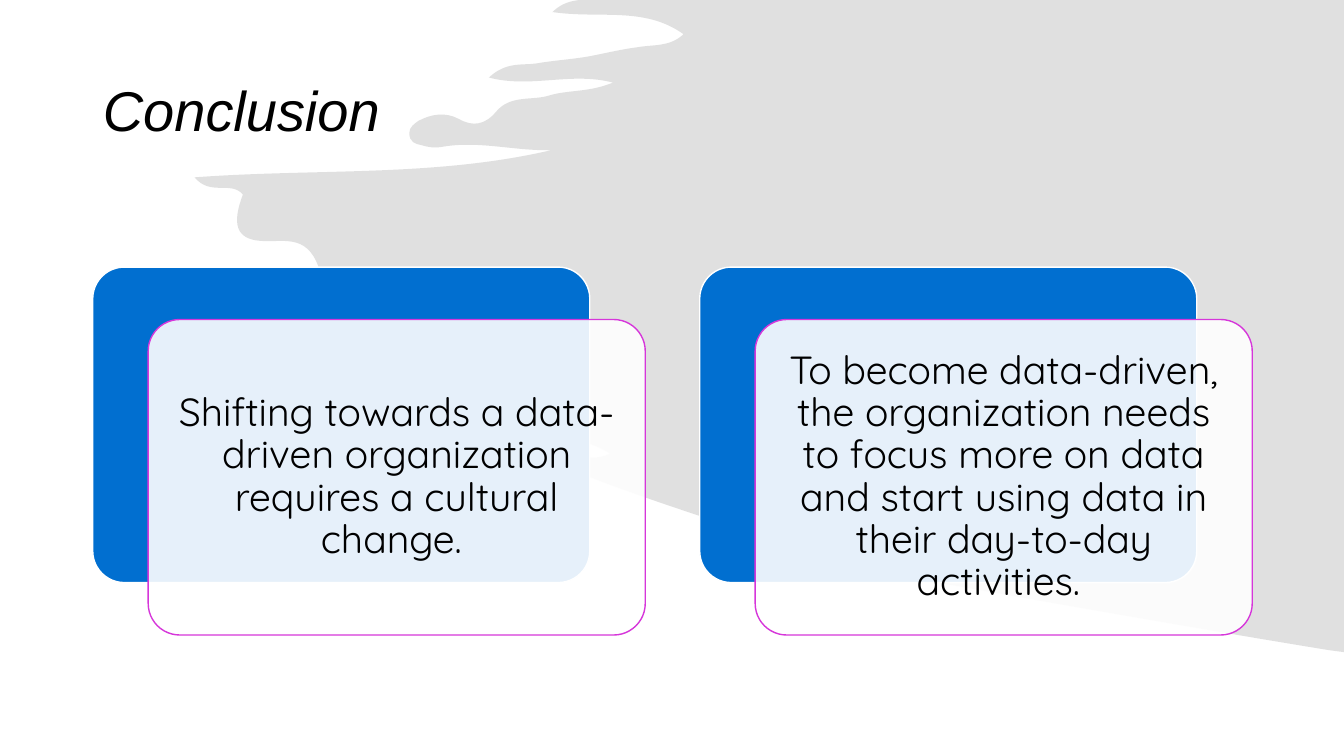
from lxml.etree import SubElement
from pptx import Presentation
from pptx.dml.color import RGBColor
from pptx.enum.shapes import MSO_SHAPE as SHAPE
from pptx.enum.text import MSO_ANCHOR as ANCHOR, PP_ALIGN as ALIGN
from pptx.oxml.ns import qn
from pptx.util import Inches, Pt

TITLE = "Conclusion"
POINTS = [
    "Shifting towards a data-driven organization requires a cultural change. ",
    "To become data-driven, the organization needs to focus more on data "
    "and start using data in their day-to-day activities. ",
]
BLACK, WHITE, BLUE, MAGENTA, GREY = "000000", "FFFFFF", "016FD0", "D636DA", "D9D9D9"

W, H = 13.33, 7.5
MARGIN, CARD_TOP = 0.92, 2.65
CARD_W, CARD_H = 4.93, 3.13
PITCH = 6.02                  # from one card to the next
SHIFT_X, SHIFT_Y = 0.55, 0.52  # front panel against back panel

# Brush edge: each row holds two control points and an end point, in inches
BRUSH_START, BRUSH_END = (5.75, 0), (W, 6.47)
BRUSH_CURVES = [
    (5.67, 0.01, 5.57, 0.03, 5.48, 0.12), (5.95, 0.19, 6.39, 0.06, 6.78, 0.34),
    (6.64, 0.47, 6.48, 0.44, 6.32, 0.47), (6.16, 0.49, 6.00, 0.53, 5.84, 0.56),
    (5.67, 0.59, 5.49, 0.60, 5.32, 0.63), (5.18, 0.65, 5.02, 0.61, 4.85, 0.77),
    (5.27, 0.88, 5.66, 0.71, 6.08, 0.82), (5.84, 0.92, 5.63, 0.89, 5.44, 0.95),
    (5.27, 1.00, 5.06, 0.94, 4.92, 1.11), (4.81, 1.24, 4.69, 1.26, 4.55, 1.18),
    (4.42, 1.11, 4.28, 1.13, 4.15, 1.20), (4.11, 1.23, 4.06, 1.26, 4.06, 1.32),
    (4.06, 1.41, 4.12, 1.43, 4.18, 1.44), (4.24, 1.46, 4.31, 1.47, 4.37, 1.46),
    (4.74, 1.39, 5.10, 1.50, 5.47, 1.49), (4.31, 1.76, 3.14, 1.67, 1.93, 1.76),
    (2.09, 1.95, 2.29, 1.79, 2.41, 1.93), (2.30, 2.22, 2.34, 2.37, 2.58, 2.39),
    (2.80, 2.41, 3.04, 2.31, 3.16, 2.65), (3.20, 2.76, 3.41, 2.73, 3.55, 2.75),
    (3.84, 2.79, 4.14, 2.75, 4.42, 2.88), (4.53, 2.93, 4.60, 2.97, 4.55, 3.11),
    (4.49, 3.25, 4.56, 3.30, 4.66, 3.36), (4.73, 3.40, 4.83, 3.39, 4.89, 3.52),
    (4.28, 3.50, 3.69, 3.40, 3.09, 3.50), (3.75, 3.74, 4.47, 3.73, 5.12, 4.02),
    (5.10, 4.12, 4.95, 4.07, 4.94, 4.22), (5.28, 4.38, 5.69, 4.27, 6.05, 4.50),
    (5.84, 4.61, 5.65, 4.44, 5.45, 4.54), (5.52, 4.69, 8.40, 5.61, 8.92, 5.71),
    (9.78, 5.87, 11.95, 6.25, 13.18, 6.45),
]


def rgb(value):
    return RGBColor.from_string(value)


def paint(sp, fill, opacity=100, line=None):
    """Fill and outline a shape, without shadow."""
    sp.shadow.inherit = False
    sp.fill.solid()
    sp.fill.fore_color.rgb = rgb(fill)
    if opacity < 100:
        color = sp.element.spPr.find(qn("a:solidFill"))[0]
        SubElement(color, qn("a:alpha")).set("val", str(opacity * 1000))
    if line:
        sp.line.color.rgb = rgb(line)
        sp.line.width = Pt(1)
    else:
        sp.line.fill.background()


def write(tf, text, font, size, align, italic=False):
    tf.word_wrap = True
    tf.vertical_anchor = ANCHOR.MIDDLE
    p = tf.paragraphs[0]
    p.alignment = align
    p.line_spacing = 0.9
    r = p.add_run()
    r.text = text
    r.font.name, r.font.size, r.font.italic = font, Pt(size), italic
    r.font.color.rgb = rgb(BLACK)


def add_brush(s):
    """Draw the brush stroke: lines between end points, then bent into curves."""
    corners = [BRUSH_START, *(curve[4:] for curve in BRUSH_CURVES), BRUSH_END]
    builder = s.shapes.build_freeform(Inches(W), 0)
    builder.add_line_segments([(Inches(x), Inches(y)) for x, y in corners])
    sp = builder.convert_to_shape()
    lines = list(sp.element.iter(qn("a:lnTo")))[1:]
    for line, curve in zip(lines, BRUSH_CURVES):
        line.tag = qn("a:cubicBezTo")
        for i, (x, y) in enumerate((curve[:2], curve[2:4])):
            pt = SubElement(line, qn("a:pt"))
            pt.set("x", str(Inches(x) - sp.left))
            pt.set("y", str(Inches(y) - sp.top))
            line.insert(i, pt)
    paint(sp, GREY, 80)
    return sp


def add_panel(s, x, y, fill, opacity, line):
    sp = s.shapes.add_shape(SHAPE.ROUNDED_RECTANGLE, Inches(x), Inches(y),
                            Inches(CARD_W), Inches(CARD_H))
    sp.adjustments[0] = 0.1
    paint(sp, fill, opacity, line)
    return sp


def add_card(s, x, text):
    add_panel(s, x, CARD_TOP, BLUE, 100, WHITE)
    front = add_panel(s, x + SHIFT_X, CARD_TOP + SHIFT_Y, WHITE, 90, MAGENTA)
    tf = front.text_frame
    tf.margin_left = tf.margin_right = tf.margin_top = tf.margin_bottom = Inches(0.12)
    write(tf, text, "Quicksand", 28, ALIGN.CENTER)


def main():
    prs = Presentation()
    prs.slide_width, prs.slide_height = Inches(W), Inches(H)
    s = prs.slides.add_slide(prs.slide_layouts[5])
    s.background.fill.solid()
    s.background.fill.fore_color.rgb = rgb(WHITE)

    title = s.shapes.title
    title.left, title.top = Inches(MARGIN), Inches(0.4)
    title.width, title.height = Inches(11.5), Inches(1.45)
    write(title.text_frame, TITLE, "Arial", 40, ALIGN.LEFT, italic=True)
    title.element.addprevious(add_brush(s).element)  # behind the title

    for i, text in enumerate(POINTS):
        add_card(s, MARGIN + i * PITCH, text)
    prs.save("out.pptx")


if __name__ == "__main__":
    main()
